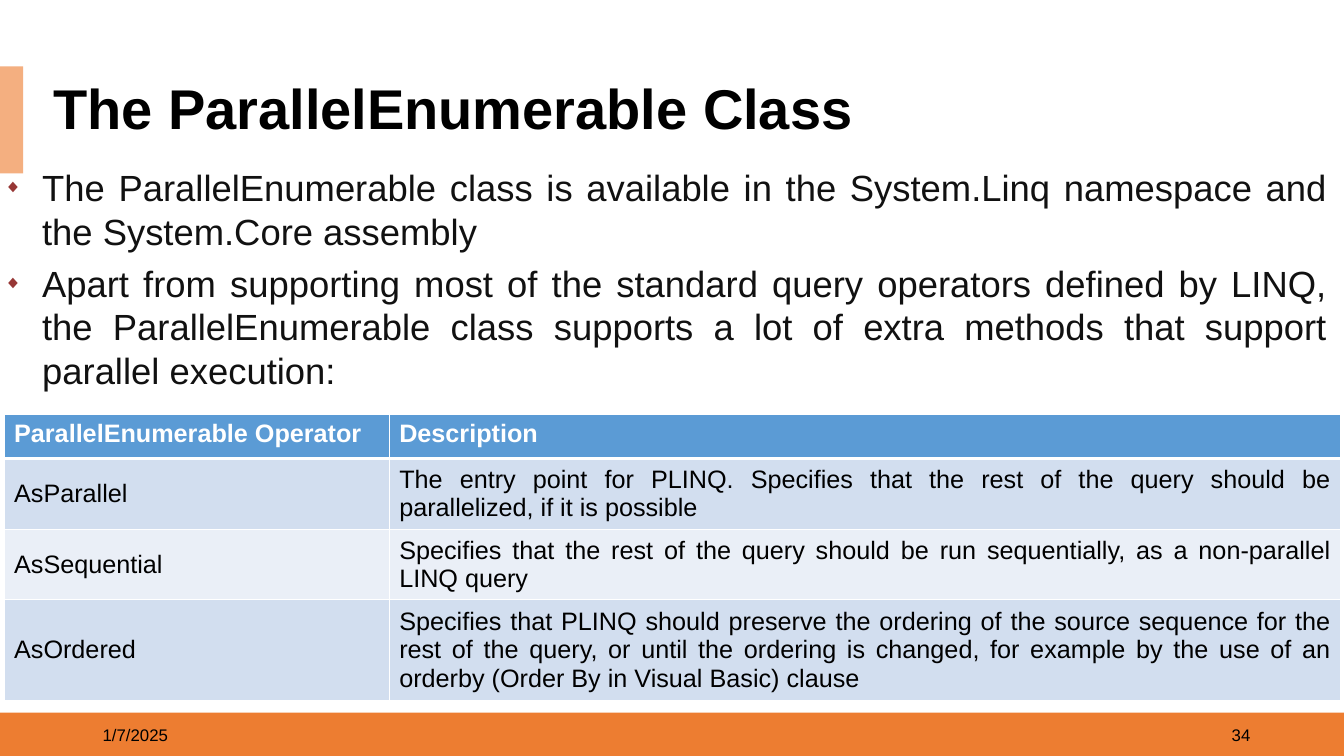
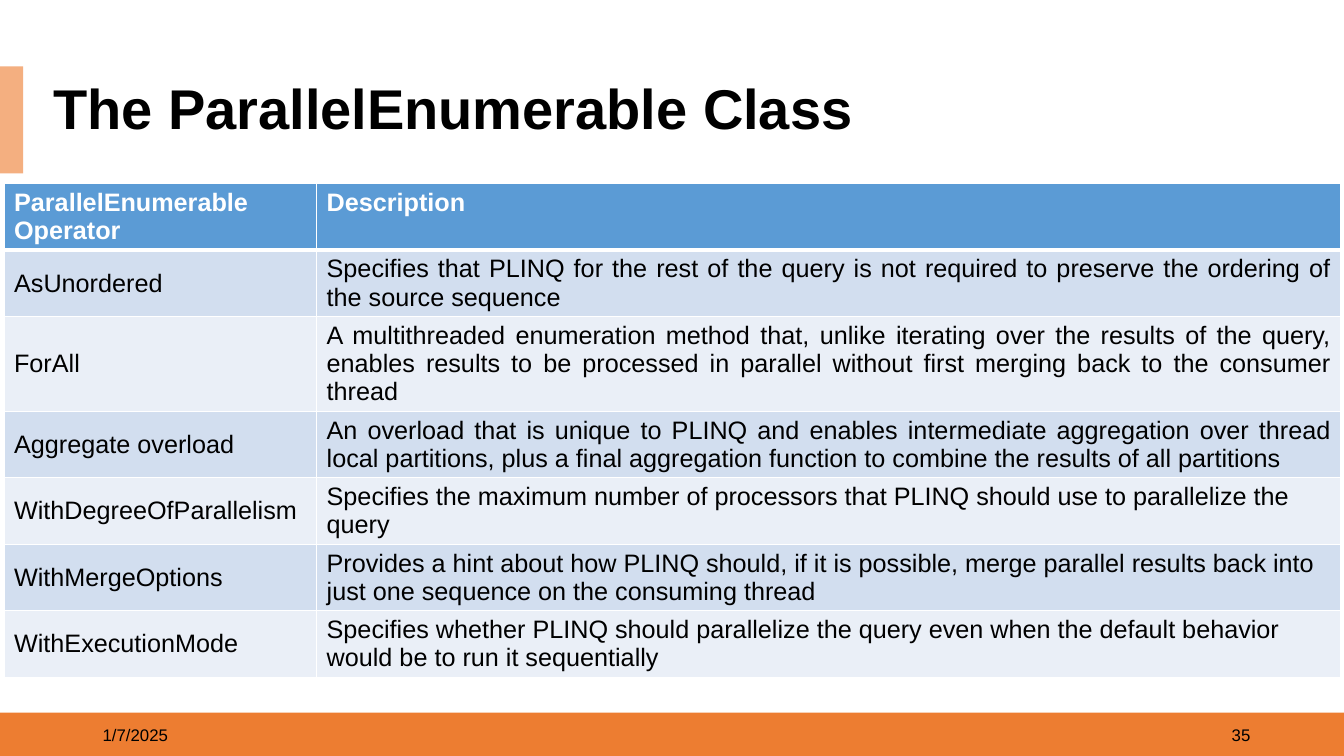
"""Build two slides about the ParallelEnumerable class and its operators."""
from dataclasses import dataclass

from lxml import etree
from pptx import Presentation
from pptx.dml.color import RGBColor
from pptx.enum.shapes import MSO_SHAPE
from pptx.enum.text import MSO_ANCHOR, PP_ALIGN
from pptx.oxml.ns import qn
from pptx.util import Inches, Pt

RECTANGLE = MSO_SHAPE.RECTANGLE
TOP, MIDDLE = MSO_ANCHOR.TOP, MSO_ANCHOR.MIDDLE
LEFT, RIGHT, JUSTIFY = PP_ALIGN.LEFT, PP_ALIGN.RIGHT, PP_ALIGN.JUSTIFY


@dataclass(frozen=True)
class Theme:
    font: str = "Arial"
    band: str = "ED7D31"
    accent: str = "F4AF80"
    text: str = "000000"
    body: str = "111111"
    bullet: str = "973735"
    header: str = "5B9BD5"
    white: str = "FFFFFF"
    stripes: tuple = ("D2DEEF", "EAEFF7")
    title_size: int = 40
    body_size: int = 26
    table_size: int = 18
    footer_size: int = 12
    border: int = 1
    header_border: int = 3
    header_margins: tuple = (0.05, 0.01)
    cell_margins: tuple = (0.02, 0.02)


THEME = Theme()
TITLE = "The ParallelEnumerable Class"
DATE = "1/7/2025"
HEADER = ("ParallelEnumerable Operator", "Description")

SLIDES = [
    {
        "number": "34",
        "bullets": [
            "The ParallelEnumerable class is available in the System.Linq namespace and "
            "the System.Core assembly",
            "Apart from supporting most of the standard query operators defined by LINQ, "
            "the ParallelEnumerable class supports a lot of extra methods that support "
            "parallel execution:",
        ],
        "table_top": 4.11,
        "columns": (3.82, 9.44),
        "header_height": 0.44,
        "rows": [
            ("AsParallel", "The entry point for PLINQ. Specifies that the rest of the query "
             "should be parallelized, if it is possible", JUSTIFY, 0.7),
            ("AsSequential", "Specifies that the rest of the query should be run sequentially, "
             "as a non-parallel LINQ query", JUSTIFY, 0.7),
            ("AsOrdered", "Specifies that PLINQ should preserve the ordering of the source "
             "sequence for the rest of the query, or until the ordering is changed, for example "
             "by the use of an orderby (Order By in Visual Basic) clause", JUSTIFY, 1),
        ],
    },
    {
        "number": "35",
        "bullets": [],
        "table_top": 1.82,
        "columns": (3.1, 10.16),
        "header_height": 0.66,
        "rows": [
            ("AsUnordered", "Specifies that PLINQ for the rest of the query is not required to "
             "preserve the ordering of the source sequence", JUSTIFY, 0.66),
            ("ForAll", "A multithreaded enumeration method that, unlike iterating over the "
             "results of the query, enables results to be processed in parallel without first "
             "merging back to the consumer thread", JUSTIFY, 0.94),
            ("Aggregate overload", "An overload that is unique to PLINQ and enables intermediate "
             "aggregation over thread local partitions, plus a final aggregation function to "
             "combine the results of all partitions", JUSTIFY, 0.66),
            ("WithDegreeOfParallelism", "Specifies the maximum number of processors that PLINQ "
             "should use to parallelize the query", LEFT, 0.66),
            ("WithMergeOptions", "Provides a hint about how PLINQ should, if it is possible, "
             "merge parallel results back into just one sequence on the consuming thread",
             LEFT, 0.66),
            ("WithExecutionMode", "Specifies whether PLINQ should parallelize the query even "
             "when the default behavior would be to run it sequentially", LEFT, 0.66),
        ],
    },
]


def style(paragraph, size, color, bold=False, align=LEFT):
    paragraph.alignment = align
    font = paragraph.font
    font.name, font.size, font.bold = THEME.font, Pt(size), bold
    font.color.rgb = RGBColor.from_string(color)


def paint(target, color):
    target.fill.solid()
    target.fill.fore_color.rgb = RGBColor.from_string(color)


def add_band(slide, left, top, width, height, color):
    shape = slide.shapes.add_shape(RECTANGLE, *map(Inches, (left, top, width, height)))
    shape.shadow.inherit = False
    paint(shape, color)
    shape.line.fill.background()


def add_text(slide, box, texts, size, color, anchor=MIDDLE, **options):
    shape = slide.shapes.add_textbox(*map(Inches, box))
    frame = shape.text_frame
    frame.word_wrap = True
    frame.vertical_anchor = anchor
    frame.text = "\n".join(texts)
    for paragraph in frame.paragraphs:
        style(paragraph, size, color, **options)
    return shape


def add_bullet(paragraph):
    paragraph.space_before = paragraph.space_after = Pt(3)
    properties = paragraph._p.get_or_add_pPr()
    properties.set("marL", str(Inches(0.38)))
    properties.set("indent", str(-Inches(0.38)))
    color = etree.SubElement(properties, qn("a:buClr"))
    etree.SubElement(color, qn("a:srgbClr"), val=THEME.bullet)
    etree.SubElement(properties, qn("a:buSzPct"), val="50000")
    etree.SubElement(properties, qn("a:buFont"), typeface=THEME.font)
    etree.SubElement(properties, qn("a:buChar"), char="◆")


def add_borders(cell, top, bottom):
    properties = cell._tc.get_or_add_tcPr()
    sides = {"L": THEME.border, "R": THEME.border, "T": top, "B": bottom}
    for side, width in sides.items():
        line = etree.SubElement(properties, qn(f"a:ln{side}"), w=str(Pt(width)))
        fill = etree.SubElement(line, qn("a:solidFill"))
        etree.SubElement(fill, qn("a:srgbClr"), val=THEME.white)


def add_operator_table(slide, content):
    rows = [(*HEADER, LEFT, content["header_height"]), *content["rows"]]
    columns = content["columns"]
    box = (0.04, content["table_top"], sum(columns), sum(row[-1] for row in rows))
    table = slide.shapes.add_table(len(rows), len(columns), *map(Inches, box)).table
    for column, width in zip(table.columns, columns):
        column.width = Inches(width)
    for index, (operator, description, align, height) in enumerate(rows):
        table.rows[index].height = Inches(height)
        is_header = index == 0
        fill = THEME.header if is_header else THEME.stripes[(index - 1) % 2]
        color = THEME.white if is_header else THEME.text
        margins = THEME.header_margins if is_header else THEME.cell_margins
        top = THEME.header_border if index == 1 else THEME.border
        bottom = THEME.header_border if is_header else THEME.border
        for column, (text, alignment) in enumerate(((operator, LEFT), (description, align))):
            cell = table.cell(index, column)
            cell.text = text
            cell.vertical_anchor = TOP if is_header else MIDDLE
            cell.margin_top, cell.margin_bottom = map(Inches, margins)
            style(cell.text_frame.paragraphs[0], THEME.table_size, color, is_header, alignment)
            add_borders(cell, top, bottom)
            paint(cell, fill)


def add_frame(slide, number):
    add_band(slide, 0, 7.07, 13.33, 0.43, THEME.band)
    add_band(slide, 0, 0.66, 0.23, 1.06, THEME.accent)
    for left, text, align in ((0.92, DATE, LEFT), (9.5, number, RIGHT)):
        add_text(slide, (left, 7.09, 3, 0.4), [text], THEME.footer_size, THEME.text, align=align)
    title = add_text(slide, (0.43, 0.79, 12.58, 0.63), [TITLE],
                     THEME.title_size, THEME.text, bold=True)
    paint(title, THEME.white)
    title.text_frame.paragraphs[0].line_spacing = 0.9


def main():
    presentation = Presentation()
    presentation.slide_width, presentation.slide_height = Inches(13.33), Inches(7.5)
    for content in SLIDES:
        slide = presentation.slides.add_slide(presentation.slide_layouts[6])
        add_frame(slide, content["number"])
        if content["bullets"]:
            body = add_text(slide, (-0.06, 1.59, 13.34, 2.37), content["bullets"],
                            THEME.body_size, THEME.body, TOP, align=JUSTIFY)
            for paragraph in body.text_frame.paragraphs:
                add_bullet(paragraph)
        add_operator_table(slide, content)
    presentation.save("out.pptx")


if __name__ == "__main__":
    main()
